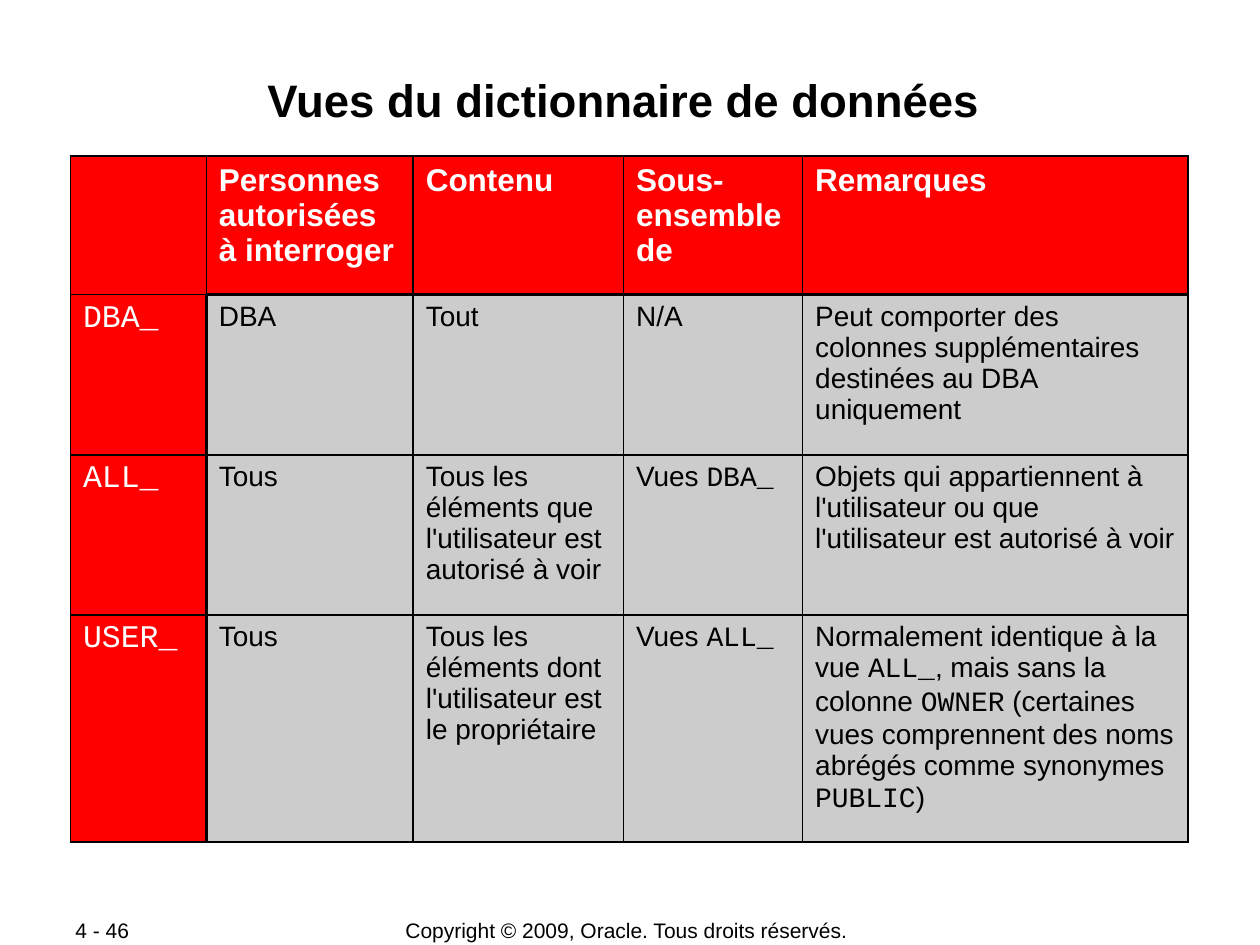
from typing import NamedTuple

from lxml import etree
from pptx import Presentation
from pptx.dml.color import RGBColor
from pptx.enum.text import MSO_ANCHOR, PP_ALIGN
from pptx.oxml.ns import qn
from pptx.util import Cm, Pt

LEFT, CENTER = PP_ALIGN.LEFT, PP_ALIGN.CENTER
TOP, MIDDLE = MSO_ANCHOR.TOP, MSO_ANCHOR.MIDDLE
SANS, MONO = "Arial", "Courier New"
BLACK, WHITE, RED, GREY = "000000", "FFFFFF", "FF0000", "CCCCCC"
THIN, THICK = 1.08, 2.21


class Label(NamedTuple):
    text: str
    left: float
    top: float
    width: float
    height: float
    size: float
    bold: bool = False
    align: PP_ALIGN = CENTER
    anchor: MSO_ANCHOR = MIDDLE


class CellStyle(NamedTuple):
    fill: str
    color: str
    size: float
    bold: bool = False


HEADER = CellStyle(RED, WHITE, 18, True)
PREFIX = CellStyle(RED, WHITE, 18)
BODY = CellStyle(GREY, BLACK, 16)

LABELS = [
    Label("Vues du dictionnaire de données ", 1.7, 1.32, 22, 2.34, 26, True, CENTER, TOP),
    Label("Copyright © 2009, Oracle. Tous droits réservés. ", 6.99, 18.49, 11.4, 0.53, 12),
    Label("4 - 46 ", 1.27, 18.49, 2.69, 0.51, 12, align=LEFT),
]

COLUMN_WIDTHS = [2.74, 4.17, 4.24, 3.61, 7.77]
ROW_HEIGHTS = [2.79, 3.23, 3.23, 4.57]

# Backticks enclose words set in the monospaced font
ROWS = [
    ["", "Personnes\nautorisées\nà interroger", "Contenu", "Sous-ensemble de", "Remarques"],
    ["`DBA_`", "DBA", "Tout", "N/A",
     "Peut comporter des colonnes supplémentaires destinées au DBA uniquement"],
    ["`ALL_`", "Tous", "Tous les éléments que l'utilisateur est autorisé à voir",
     "Vues `DBA_`",
     "Objets qui appartiennent à l'utilisateur ou que l'utilisateur est autorisé à voir"],
    ["`USER_`", "Tous", "Tous les éléments dont l'utilisateur est le propriétaire",
     "Vues `ALL_`",
     "Normalement identique à la vue `ALL_`, mais sans la colonne `OWNER` (certaines "
     "vues comprennent des noms abrégés comme synonymes `PUBLIC`)"],
]


def rgb(value: str) -> RGBColor:
    return RGBColor.from_string(value)


def set_font(font, size: float, color: str, bold: bool) -> None:
    font.size, font.bold = Pt(size), bold
    font.color.rgb = rgb(color)


def add_label(slide, label: Label) -> None:
    box = slide.shapes.add_textbox(
        Cm(label.left), Cm(label.top), Cm(label.width), Cm(label.height))
    frame = box.text_frame
    frame.word_wrap = True
    frame.vertical_anchor = label.anchor
    paragraph = frame.paragraphs[0]
    paragraph.text = label.text
    paragraph.alignment = label.align
    paragraph.font.name = SANS
    set_font(paragraph.font, label.size, BLACK, label.bold)


def add_border(cell, side: str, width: float) -> None:
    properties = cell._tc.get_or_add_tcPr()
    line = etree.SubElement(properties, qn(f"a:ln{side}"), w=str(Pt(width)))
    fill = etree.SubElement(line, qn("a:solidFill"))
    etree.SubElement(fill, qn("a:srgbClr"), val=BLACK)


def write_text(paragraph, text: str) -> None:
    for part_index, part in enumerate(text.split("`")):
        for line_index, line in enumerate(part.splitlines()):
            if line_index:
                paragraph.add_line_break()
            run = paragraph.add_run()
            run.text = line
            run.font.name = MONO if part_index % 2 else SANS


def fill_cell(cell, row: int, column: int) -> None:
    style = HEADER if row == 0 else PREFIX if column == 0 else BODY
    # The rules around the body cells are thicker
    borders = {
        "L": THICK if column == 1 and row else THIN,
        "R": THICK if column == 0 and row else THIN,
        "T": THICK if row == 1 and column else THIN,
        "B": THICK if row == 0 and column else THIN,
    }
    for side, width in borders.items():
        add_border(cell, side, width)
    cell.fill.solid()
    cell.fill.fore_color.rgb = rgb(style.fill)
    paragraph = cell.text_frame.paragraphs[0]
    set_font(paragraph.font, style.size, style.color, style.bold)
    write_text(paragraph, ROWS[row][column])


def add_views_table(slide) -> None:
    frame = slide.shapes.add_table(
        len(ROWS), len(COLUMN_WIDTHS), Cm(1.42), Cm(3.15),
        Cm(sum(COLUMN_WIDTHS)), Cm(sum(ROW_HEIGHTS)))
    table = frame.table
    table.horz_banding = False
    for column, width in zip(table.columns, COLUMN_WIDTHS):
        column.width = Cm(width)
    for row, height in zip(table.rows, ROW_HEIGHTS):
        row.height = Cm(height)
    for row in range(len(ROWS)):
        for column in range(len(COLUMN_WIDTHS)):
            fill_cell(table.cell(row, column), row, column)


def main() -> None:
    presentation = Presentation()
    presentation.slide_width, presentation.slide_height = Cm(25.4), Cm(19.05)
    slide = presentation.slides.add_slide(presentation.slide_layouts[6])
    # Title and footer
    for label in LABELS:
        add_label(slide, label)
    # Dictionary views
    add_views_table(slide)
    presentation.save("out.pptx")


if __name__ == "__main__":
    main()
